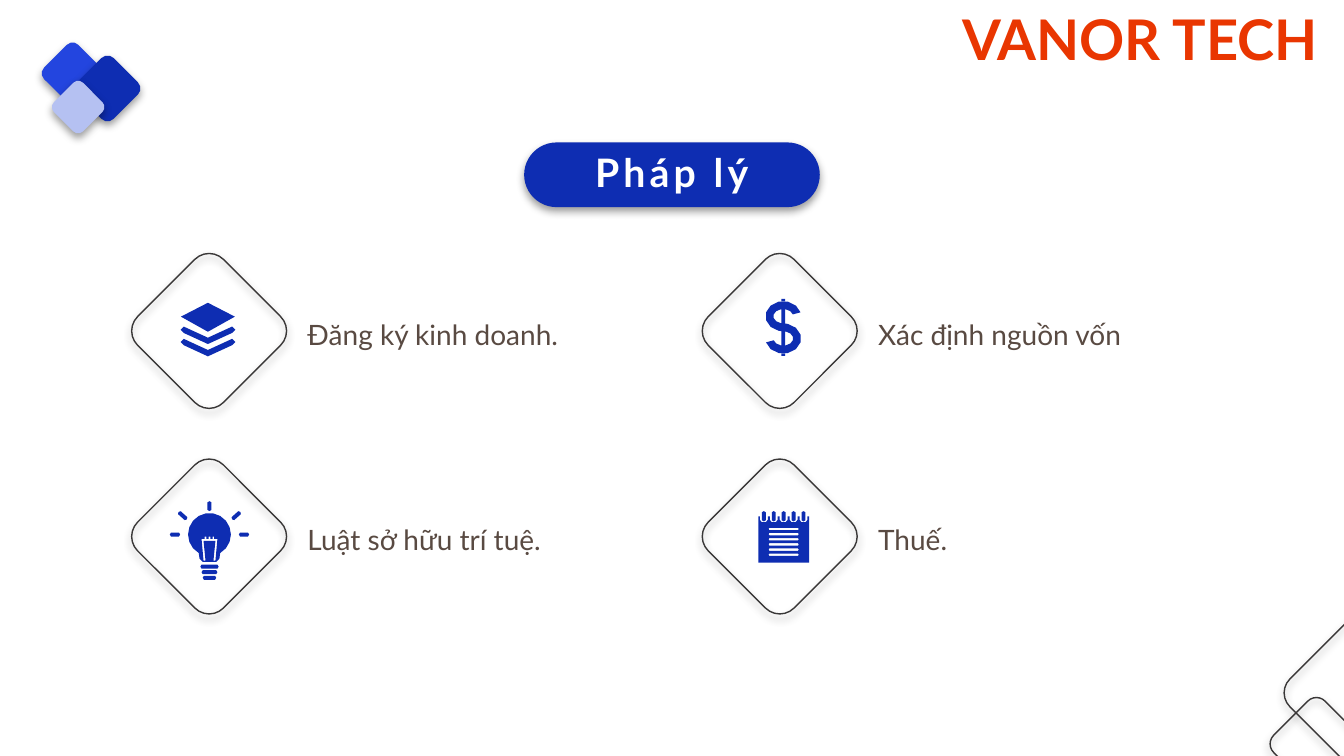
from dataclasses import dataclass
from math import cos, hypot, radians, sin

from lxml.etree import SubElement
from pptx import Presentation
from pptx.dml.color import RGBColor
from pptx.enum.shapes import MSO_SHAPE as Preset
from pptx.enum.text import MSO_AUTO_SIZE as AutoSize, PP_ALIGN as Align
from pptx.oxml.ns import qn
from pptx.util import Cm, Pt


@dataclass(frozen=True)
class Theme:
    font: str = "Lato"
    blue: str = "0E2DB2"
    bright: str = "2345DF"
    pale: str = "B5C1F2"
    white: str = "FFFFFF"
    outline: str = "393737"
    body: str = "594A42"
    brand: str = "E93601"
    brand_size: int = 40
    title_size: int = 28
    body_size: int = 20


THEME = Theme()

# All places and sizes are in centimetres.
BRAND = "VANOR TECH"
TITLE = "Pháp lý"
CARDS = [  # text, icon, column, row
    ("Đăng ký kinh doanh.", "layers", 0, 0),
    ("Xác định nguồn vốn", "dollar", 1, 0),
    ("Luật sở hữu trí tuệ.", "bulb", 0, 1),
    ("Thuế.", "notepad", 1, 1),
]
DECOR = [  # left, top, size, fill
    (1.22, 1.24, 1.22, THEME.bright),
    (2.06, 1.58, 1.3, THEME.blue),
    (1.45, 2.18, 1.04, THEME.pale),
    (32.26, 17.83, 1.83, None),
    (32.77, 15.98, 2.96, None),
]
CARD_LEFT, CARD_TOP, COLUMN_STEP, ROW_STEP = 3.74, 6.81, 14.38, 5.18
DIAMOND_SIZE = 3.06

deck = Presentation()
deck.slide_width, deck.slide_height = Cm(33.87), Cm(19.05)
page = deck.slides.add_slide(deck.slide_layouts[6])


def colour(code):
    return RGBColor.from_string(code)


def paint(box, fill):
    """Give a shape a plain fill, or the thin outline when there is none."""
    box.shadow.inherit = False
    if fill:
        box.fill.solid()
        box.fill.fore_color.rgb = colour(fill)
        box.line.fill.background()
    else:
        box.fill.background()
        box.line.color.rgb = colour(THEME.outline)
        box.line.width = Pt(1)


def add_rounded(left, top, width, height, fill):
    box = page.shapes.add_shape(Preset.ROUNDED_RECTANGLE, Cm(left), Cm(top),
                                Cm(width), Cm(height))
    paint(box, fill)
    effects = box._element.spPr.find(qn("a:effectLst"))
    shadow = SubElement(effects, qn("a:outerShdw"), blurRad=str(Pt(6)),
                        dist=str(Pt(3)), dir="5400000", algn="t", rotWithShape="0")
    black = SubElement(shadow, qn("a:srgbClr"), val="000000")
    SubElement(black, qn("a:alpha"), val="39000")
    return box


def add_diamond(left, top, size, fill):
    add_rounded(left, top, size, size, fill).rotation = 45


def add_text(text, left, top, width, height, size, ink, bold=False,
             align=Align.LEFT, leading=None, tracking=None):
    box = page.shapes.add_textbox(Cm(left), Cm(top), Cm(width), Cm(height))
    box.text_frame.word_wrap = True
    box.text_frame.auto_size = AutoSize.SHAPE_TO_FIT_TEXT
    para = box.text_frame.paragraphs[0]
    para.alignment = align
    if leading:
        para.line_spacing = leading
    span = para.add_run()
    span.text = text
    span.font.name, span.font.size, span.font.bold = THEME.font, Pt(size), bold
    span.font.color.rgb = colour(ink)
    if tracking:
        span._r.get_or_add_rPr().set("spc", str(tracking * 100))


def add_icon(contours, x, y):
    """Draw closed contours, measured from (x, y), as one shape with holes."""
    builder = None
    for contour in contours:
        start, *rest = [(Cm(x + dx), Cm(y + dy)) for dx, dy in contour]
        if builder:
            builder.move_to(*start)
        else:
            builder = page.shapes.build_freeform(*start)
        builder.add_line_segments(rest, close=True)
    paint(builder.convert_to_shape(), THEME.blue)


def bar(x1, y1, x2, y2, width):
    """Contour of a bar with blunted ends."""
    length, half = hypot(x2 - x1, y2 - y1), width / 2
    ux, uy = (x2 - x1) / length * half, (y2 - y1) / length * half
    near_x, near_y = x1 + 0.6 * ux, y1 + 0.6 * uy
    far_x, far_y = x2 - 0.6 * ux, y2 - 0.6 * uy
    return [(x1, y1), (near_x + uy, near_y - ux), (far_x + uy, far_y - ux),
            (x2, y2), (far_x - uy, far_y + ux), (near_x - uy, near_y + ux)]


def block(left, top, right, bottom):
    return [(left, top), (right, top), (right, bottom), (left, bottom)]


def layers():
    yield [(-0.72, -0.36), (-0.04, -0.71), (0.64, -0.36), (-0.04, 0.02)]
    for drop in (-0.03, 0.28):
        yield [(-0.73, drop), (-0.65, drop - 0.08), (-0.04, drop + 0.2),
               (0.57, drop - 0.08), (0.65, drop), (0.57, drop + 0.08),
               (-0.04, drop + 0.36), (-0.65, drop + 0.08)]


def dollar():
    def edge(offset):
        upper, lower = [
            [((0.35 + grow) * cos(radians(a)), -0.28 - (0.28 + grow) * sin(radians(a)))
             for a in (*range(15, 256, 30), 270)] for grow in (offset, -offset)]
        return upper + [(-dx, -dy) for dx, dy in reversed(lower[:-1])]

    letter = edge(0.1) + edge(-0.1)[::-1]
    stems = [block(-0.05, top, 0.05, bottom) for top, bottom in
             ((-0.72, -0.66), (-0.46, -0.1), (0.1, 0.46), (0.66, 0.72))]
    for contour in (letter, *stems):
        yield [(dx + 0.08, dy - 0.09) for dx, dy in contour]


def bulb():
    globe = [(0.54 * cos(radians(a)), -0.05 - 0.54 * sin(radians(a)))
             for a in range(-60, 241, 20)]
    yield globe + [(-0.25, 0.56), (-0.17, 0.64), (0.17, 0.64), (0.25, 0.56)]
    coils = [point for dx in (-0.1, 0, 0.1) for point in
             ((dx - 0.02, 0.06), (dx - 0.02, 0), (dx + 0.02, 0), (dx + 0.02, 0.06))]
    yield [(-0.2, 0.06), *coils, (0.2, 0.06), (0.15, 0.61), (0.1, 0.61),
           (0.15, 0.11), (-0.15, 0.11), (-0.1, 0.61), (-0.15, 0.61)]
    for half, drop in ((0.23, 0.76), (0.2, 0.9), (0.17, 1.04)):
        yield bar(-half, drop, half, drop, 0.1)
    yield bar(0, -0.89, 0, -0.64, 0.1)
    for side in (-1, 1):
        yield bar(side * 1, -0.05, side * 0.74, -0.05, 0.1)
        yield bar(side * 0.78, -0.62, side * 0.57, -0.43, 0.1)


def notepad():
    middles = [0.09 + 0.25 * ring for ring in range(-2, 3)]
    notches = [point for m in middles for point in
               ((m - 0.1, -0.51), (m - 0.1, -0.42), (m - 0.05, -0.36),
                (m + 0.05, -0.36), (m + 0.1, -0.42), (m + 0.1, -0.51))]
    yield [(-0.55, -0.51), *notches, (0.73, -0.51), (0.73, 0.66), (-0.55, 0.66)]
    for row in range(6):
        drop = -0.19 + 0.13 * row
        yield bar(-0.29, drop, 0.47, drop, 0.06)
    for m in middles:
        yield bar(m, -0.64, m, -0.38, 0.1)


ICONS = {"layers": layers, "dollar": dollar, "bulb": bulb, "notepad": notepad}

for square in DECOR:
    add_diamond(*square)
add_text(BRAND, 24, 0, 9.88, 1.96, THEME.brand_size, THEME.brand, bold=True)

add_rounded(13.21, 3.59, 7.45, 1.63, THEME.blue).adjustments[0] = 0.5
add_text(TITLE, 14.39, 3.61, 5.08, 1.45, THEME.title_size, THEME.white,
         bold=True, align=Align.CENTER, tracking=3)

for text, icon, column, row in CARDS:
    left, top = CARD_LEFT + COLUMN_STEP * column, CARD_TOP + ROW_STEP * row
    add_diamond(left, top, DIAMOND_SIZE, None)
    add_icon(ICONS[icon](), left + DIAMOND_SIZE / 2 + 0.01, top + DIAMOND_SIZE / 2)
    add_text(text, left + 3.76, top + 0.64, 10.16, 1.35, THEME.body_size,
             THEME.body, align=Align.JUSTIFY, leading=1.5)

deck.save("out.pptx")
